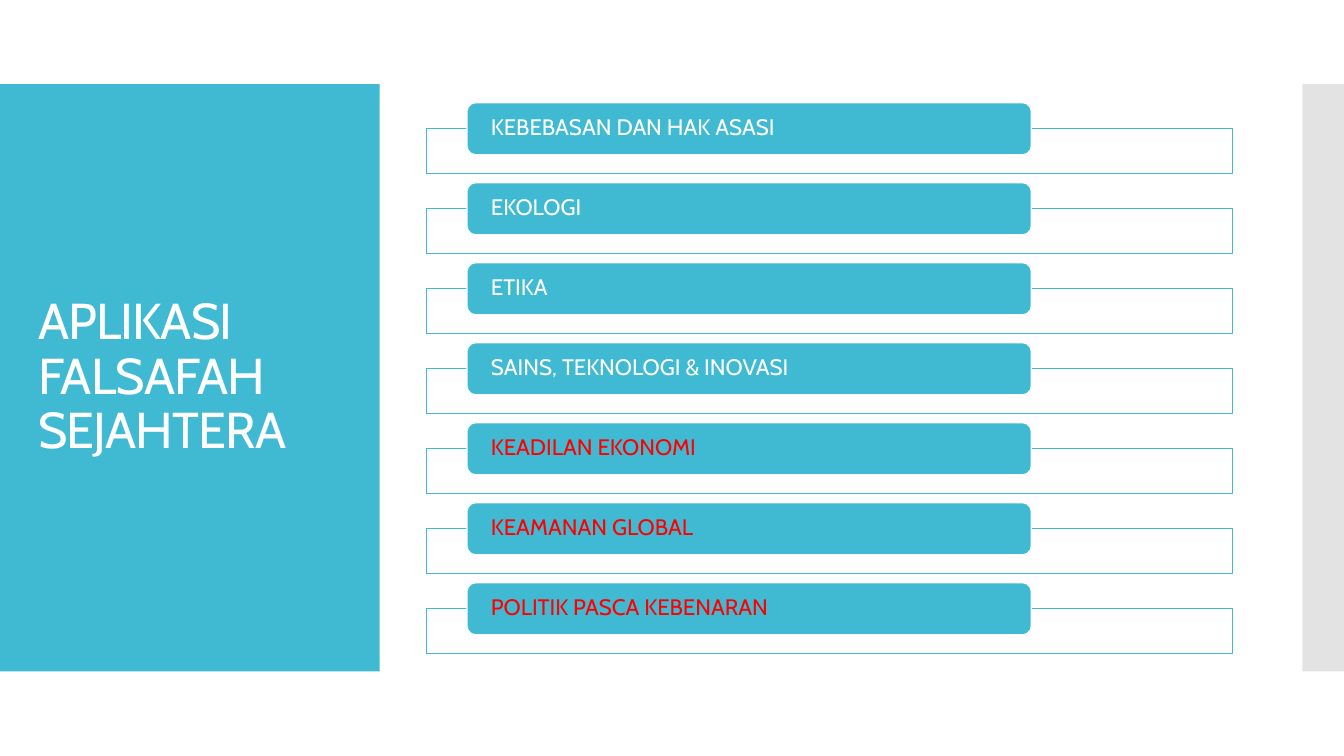
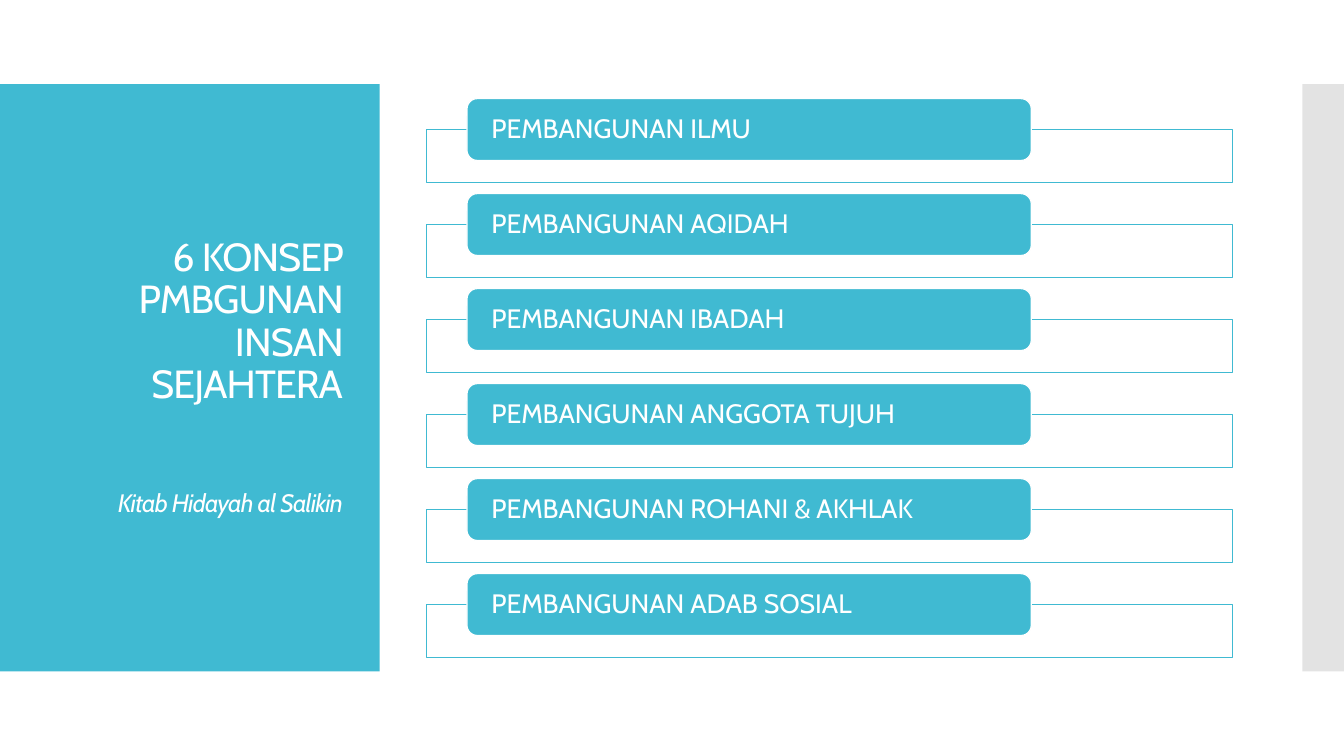
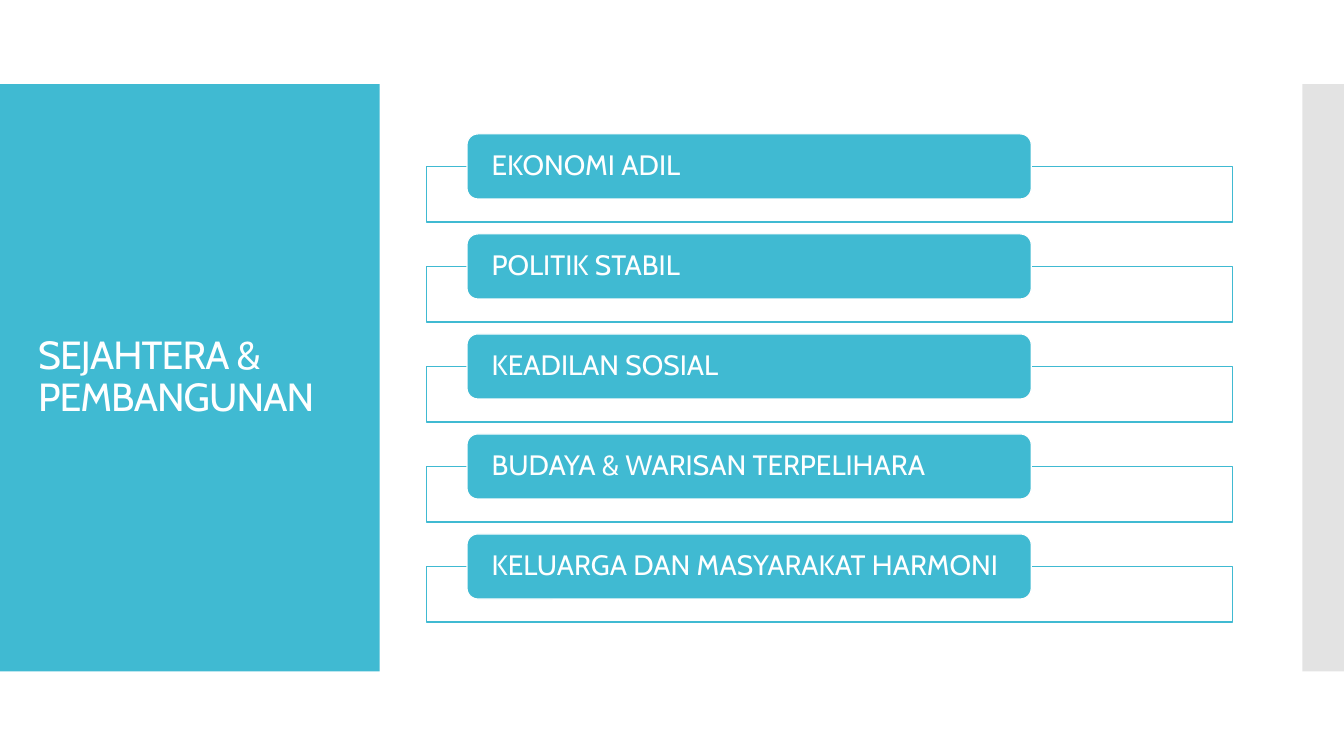
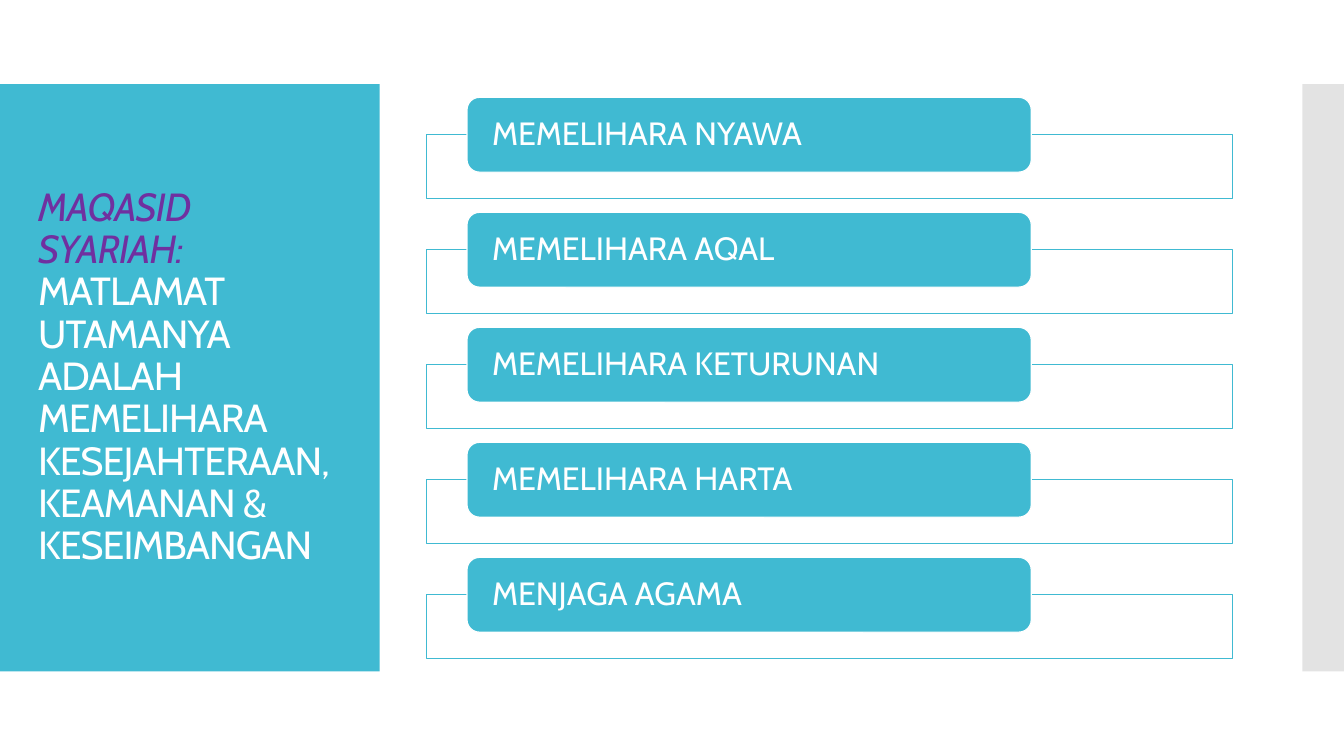
from dataclasses import dataclass

from lxml.etree import SubElement
from pptx import Presentation
from pptx.dml.color import RGBColor as RGB
from pptx.enum.shapes import MSO_SHAPE as SHAPE
from pptx.enum.text import MSO_ANCHOR as ANCHOR, PP_ALIGN as ALIGN
from pptx.oxml.ns import qn
from pptx.util import Cm, Pt


@dataclass(frozen=True)
class Theme:
    font: str = "Cabin"
    teal: RGB = RGB(0x40, 0xBA, 0xD2)
    grey: RGB = RGB(0xC8, 0xC8, 0xC8)
    white: RGB = RGB(0xFF, 0xFF, 0xFF)
    red: RGB = RGB(0xFF, 0x00, 0x00)
    purple: RGB = RGB(0x70, 0x30, 0xA0)
    large_title: int = 36
    title: int = 28
    subtitle: int = 18
    outline: float = 0.85


theme = Theme()


def add_block(slide, kind, left, top, width, height, fill, outline=None, opacity=100):
    block = slide.shapes.add_shape(kind, Cm(left), Cm(top), Cm(width), Cm(height))
    block.shadow.inherit = False
    block.fill.solid()
    block.fill.fore_color.rgb = fill
    if opacity < 100:
        color = block._element.spPr.find(qn("a:solidFill"))[0]
        SubElement(color, qn("a:alpha")).set("val", str(opacity * 1000))
    if outline is None:
        block.line.fill.background()
    else:
        block.line.color.rgb = outline
        block.line.width = Pt(theme.outline)
    return block


def write(paragraph, text, size, color, italic=False, align=ALIGN.LEFT, tracking=0):
    paragraph.text = text
    paragraph.alignment = align
    paragraph.line_spacing = 0.9
    for run in paragraph.runs:
        run.font.name = theme.font
        run.font.size = Pt(size)
        run.font.color.rgb = color
        run.font.italic = italic
        if tracking:
            run._r.get_or_add_rPr().set("spc", str(tracking))


topics = [
    {
        "title": [("APLIKASI FALSAFAH SEJAHTERA", theme.large_title, theme.white, False)],
        "size": 16,
        "items": ["KEBEBASAN DAN HAK ASASI", "EKOLOGI", "ETIKA", "SAINS, TEKNOLOGI & INOVASI",
                  "KEADILAN EKONOMI", "KEAMANAN GLOBAL", "POLITIK PASCA KEBENARAN"],
        "highlight_from": 4,
    },
    {
        "title": [("6 KONSEP PMBGUNAN INSAN SEJAHTERA", theme.title, theme.white, False),
                  ("Kitab Hidayah al Salikin", theme.subtitle, theme.white, True)],
        "align": ALIGN.RIGHT,
        "title_gap": 60,
        "size": 19,
        "items": ["PEMBANGUNAN ILMU", "PEMBANGUNAN AQIDAH", "PEMBANGUNAN IBADAH",
                  "PEMBANGUNAN ANGGOTA TUJUH", "PEMBANGUNAN ROHANI & AKHLAK",
                  "PEMBANGUNAN ADAB SOSIAL"],
    },
    {
        "title": [("SEJAHTERA & PEMBANGUNAN", theme.title, theme.white, False)],
        "size": 20,
        "items": ["EKONOMI ADIL", "POLITIK STABIL", "KEADILAN SOSIAL",
                  "BUDAYA & WARISAN TERPELIHARA", "KELUARGA DAN MASYARAKAT HARMONI"],
    },
    {
        "title": [("MAQASID SYARIAH:", theme.title, theme.purple, True),
                  ("MATLAMAT UTAMANYA ADALAH MEMELIHARA\nKESEJAHTERAAN, KEAMANAN & KESEIMBANGAN",
                   theme.title, theme.white, False)],
        "size": 23,
        "items": ["MEMELIHARA NYAWA", "MEMELIHARA AQAL", "MEMELIHARA KETURUNAN",
                  "MEMELIHARA HARTA", "MENJAGA AGAMA"],
    },
]

slide_width, slide_height = 33.87, 19.05
band_top, band_height = 2.12, 14.8

deck = Presentation()
deck.slide_width, deck.slide_height = Cm(slide_width), Cm(slide_height)
blank = deck.slide_layouts[6]

for topic in topics:
    slide = deck.slides.add_slide(blank)
    add_block(slide, SHAPE.RECTANGLE, 0, band_top, 9.57, band_height, theme.teal)
    add_block(slide, SHAPE.RECTANGLE, 32.82, band_top, 1.05, band_height, theme.grey, opacity=50)

    title = slide.shapes.add_textbox(Cm(0.71), Cm(3.13), Cm(8.18), Cm(12.78)).text_frame
    title.word_wrap = True
    title.vertical_anchor = ANCHOR.MIDDLE
    for index, (text, size, color, italic) in enumerate(topic["title"]):
        paragraph = title.add_paragraph() if index else title.paragraphs[0]
        write(paragraph, text, size, color, italic, topic.get("align", ALIGN.LEFT), tracking=-60)
        if index:
            paragraph.space_before = Pt(topic.get("title_gap", 0))

    size, items = topic["size"], topic["items"]
    label_height, frame_height, pitch = 0.082 * size, 0.07 * size, 0.126 * size
    list_height = (len(items) - 1) * pitch + label_height / 2 + frame_height
    list_top = (slide_height - list_height) / 2
    highlight_from = topic.get("highlight_from", len(items))
    for index, item in enumerate(items):
        top = list_top + index * pitch
        add_block(slide, SHAPE.RECTANGLE, 10.75, top + label_height / 2, 20.32, frame_height,
                  theme.white, theme.teal, opacity=90)
        label = add_block(slide, SHAPE.ROUNDED_RECTANGLE, 11.77, top, 14.22, label_height,
                          theme.teal, theme.white).text_frame
        label.word_wrap = True
        label.vertical_anchor = ANCHOR.MIDDLE
        label.margin_left = label.margin_right = Cm(0.54)
        label.margin_top = label.margin_bottom = 0
        color = theme.red if index >= highlight_from else theme.white
        write(label.paragraphs[0], item, size, color)

deck.save("out.pptx")
